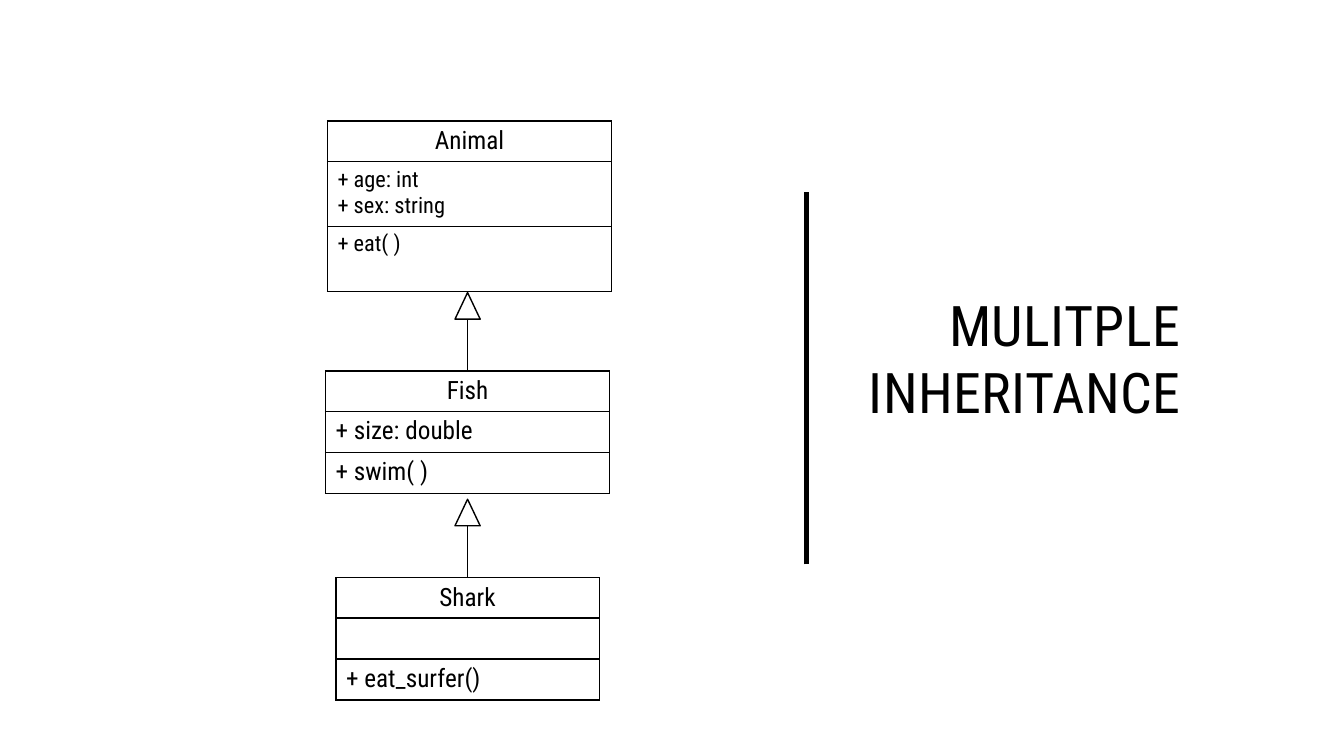
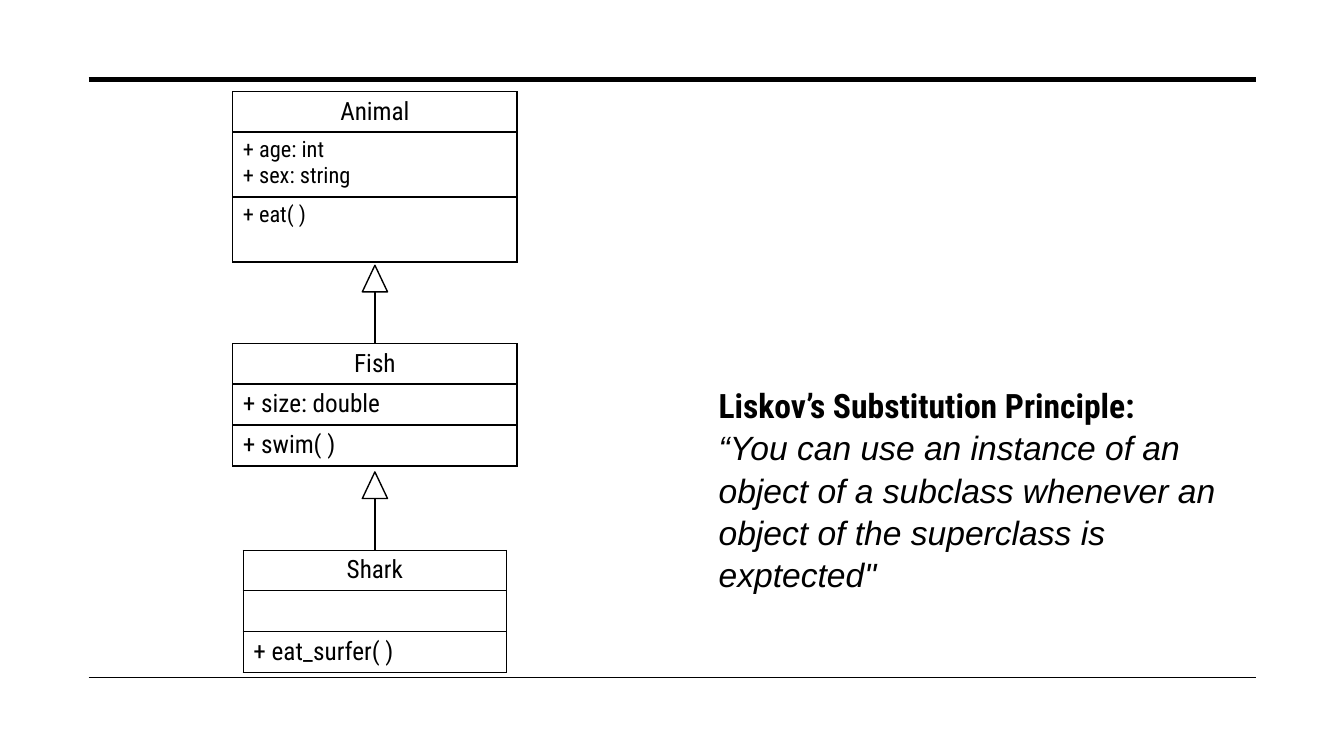
from lxml import etree
from pptx import Presentation
from pptx.dml.color import RGBColor
from pptx.enum.shapes import MSO_CONNECTOR, MSO_SHAPE
from pptx.enum.text import MSO_ANCHOR, MSO_AUTO_SIZE, PP_ALIGN
from pptx.oxml.ns import qn
from pptx.util import Pt

LINE = MSO_CONNECTOR.STRAIGHT
TRIANGLE = MSO_SHAPE.ISOSCELES_TRIANGLE
MIDDLE = MSO_ANCHOR.MIDDLE
GROW = MSO_AUTO_SIZE.SHAPE_TO_FIT_TEXT
LEFT, CENTER, RIGHT = PP_ALIGN.LEFT, PP_ALIGN.CENTER, PP_ALIGN.RIGHT

COLORS = {"ink": "000000", "paper": "FFFFFF"}
FONT = "Roboto Condensed"
HEAD = 28.5
WIDE, SLIM = 203, 188
TIP_W, TIP_H, RISE = 18, 19, 56
DROP = 147.6


def color(name):
    """Return the named colour."""
    return RGBColor.from_string(COLORS[name])


def write(para, text, size=18, font=FONT, align=LEFT, bold=False,
          italic=False, space=None, track=None):
    """Put formatted text into a paragraph."""
    para.alignment = align
    if space:
        para.line_spacing = space
    para.font.size = Pt(size)
    run = para.add_run()
    run.text = text
    run.font.size = Pt(size)
    run.font.name = font
    run.font.bold = bold
    run.font.italic = italic
    run.font.color.rgb = color("ink")
    if track:
        run._r.get_or_add_rPr().set("spc", str(track))


def rule(slide, x1, y1, x2, y2, width=1):
    """Draw a straight line."""
    line = slide.shapes.add_connector(LINE, Pt(x1), Pt(y1), Pt(x2), Pt(y2))
    line.line.color.rgb = color("ink")
    line.line.width = Pt(width)
    etree.SubElement(line._element.spPr, qn("a:effectLst"))


def text_box(slide, left, top, width, height):
    """Add a wrapping text box and return its frame."""
    frame = slide.shapes.add_textbox(
        Pt(left), Pt(top), Pt(width), Pt(height)).text_frame
    frame.word_wrap = True
    return frame


def border(cell):
    """Draw thin lines on all sides of a cell."""
    props = cell._tc.get_or_add_tcPr()
    for side in ("lnL", "lnR", "lnT", "lnB"):
        edge = etree.SubElement(props, qn("a:" + side), w=str(Pt(1)))
        fill = etree.SubElement(edge, qn("a:solidFill"))
        etree.SubElement(fill, qn("a:srgbClr"), val=COLORS["ink"])


def class_box(slide, mid, top, width, name, parts, row=29.3, size=18,
              fill=None):
    """Add a class table centred on mid."""
    rows = [[name], *parts]
    heights = [HEAD] + [row] * len(parts)
    table = slide.shapes.add_table(
        len(rows), 1, Pt(mid - width / 2), Pt(top), Pt(width),
        Pt(sum(heights))).table
    table.first_row = table.horz_banding = False
    for i, lines in enumerate(rows):
        table.rows[i].height = Pt(heights[i])
        cell = table.cell(i, 0)
        border(cell)
        if fill:
            cell.fill.solid()
            cell.fill.fore_color.rgb = color(fill)
        else:
            cell.fill.background()
        frame = cell.text_frame
        frame.paragraphs[0].font.size = Pt(size)
        for j, text in enumerate(lines):
            para = frame.add_paragraph() if j else frame.paragraphs[0]
            write(para, text, size=size if i else 18,
                  align=LEFT if i else CENTER)


def arrow(slide, mid, base):
    """Draw an inheritance arrow rising from base."""
    top = base - RISE
    tip = slide.shapes.add_shape(
        TRIANGLE, Pt(mid - TIP_W / 2), Pt(top), Pt(TIP_W), Pt(TIP_H))
    tip.shadow.inherit = False
    tip.fill.background()
    tip.line.color.rgb = color("ink")
    tip.line.width = Pt(1)
    rule(slide, mid, top + TIP_H, mid, base)


def tree(slide, mid, top, lift, shift, method):
    """Draw the class tree around the Fish box at mid and top."""
    class_box(slide, mid, top + DROP, SLIM, "Shark", [[], [method]])
    class_box(slide, mid, top, WIDE, "Fish",
              [["+ size: double"], ["+ swim( )"]])
    for base in (top, top + DROP):
        arrow(slide, mid, base)
    class_box(slide, mid + shift, top - lift, WIDE, "Animal",
              [["+ age: int", "+ sex: string"], ["+ eat( )"]],
              row=46.4, size=16, fill="paper")


def title_slide(slide):
    """Build the tree with a title beside it."""
    frame = text_box(slide, 530, 144.7, 320.4, 221)
    frame.vertical_anchor = MIDDLE
    write(frame.paragraphs[0], "MULITPLE INHERITANCE", size=40,
          align=RIGHT, track=30)
    rule(slide, 576, 403.2, 576, 136.8, width=3.5)
    tree(slide, 334, 265, 178.6, 1.4, "+ eat_surfer()")


def quote_slide(slide):
    """Build the tree with a principle beside it."""
    for y, width in ((56.9, 3.5), (483.8, 1)):
        rule(slide, 63.4, y, 897, y, width)
    frame = text_box(slide, 506.2, 270, 380.2, 123.8)
    frame.auto_size = GROW
    write(frame.paragraphs[0], "Liskov’s Substitution Principle:",
          size=24, bold=True, space=1.05)
    write(frame.add_paragraph(),
          "“You can use an instance of an object of a subclass whenever "
          "an object of the superclass is exptected\"",
          size=24, font="Arial", italic=True, space=1.05)
    tree(slide, 267.8, 245.5, 180, 0, "+ eat_surfer( )")


def main():
    """Build and save the slides."""
    deck = Presentation()
    deck.slide_width, deck.slide_height = Pt(960), Pt(540)
    for build in (title_slide, quote_slide):
        build(deck.slides.add_slide(deck.slide_layouts[6]))
    deck.save("out.pptx")


if __name__ == "__main__":
    main()
